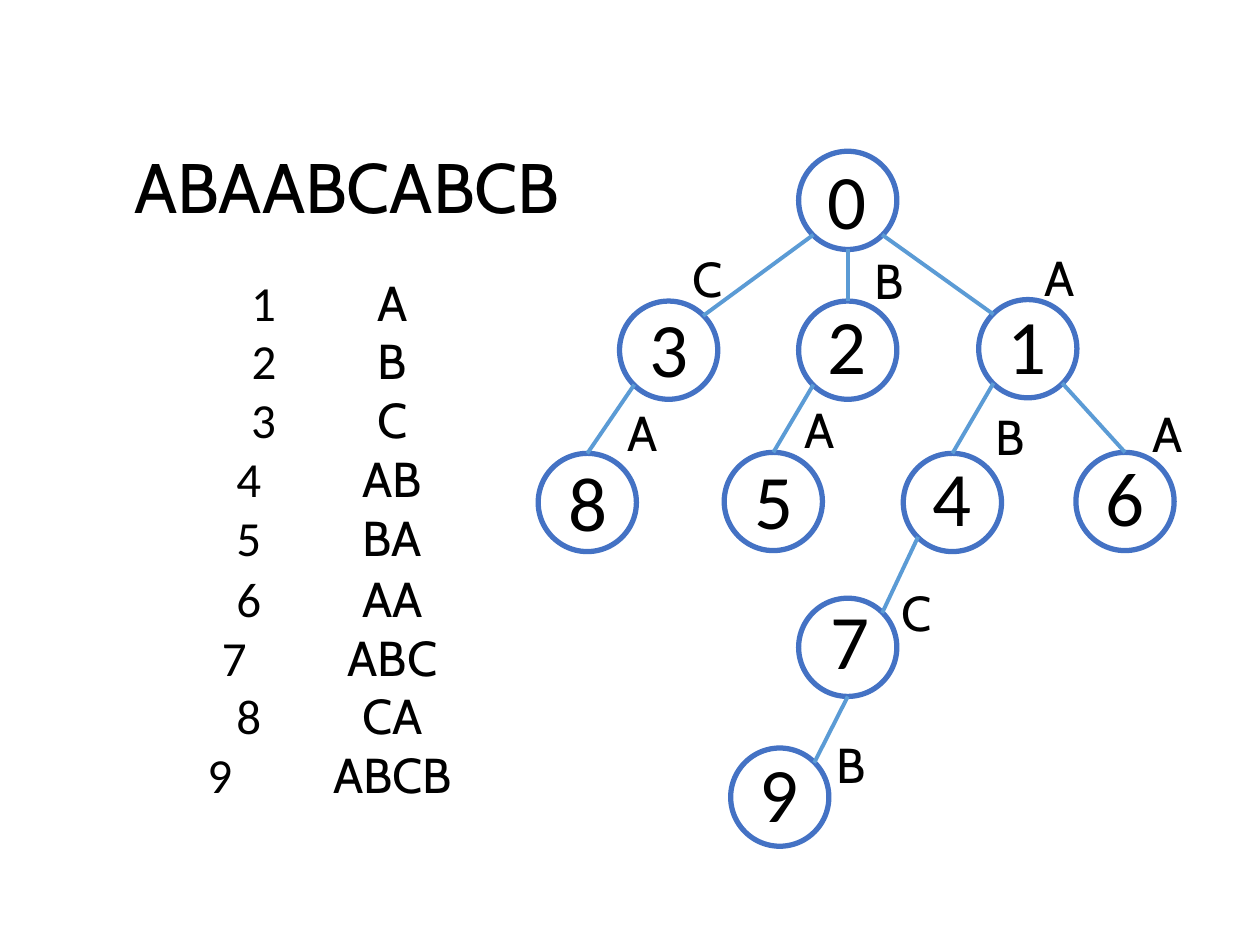
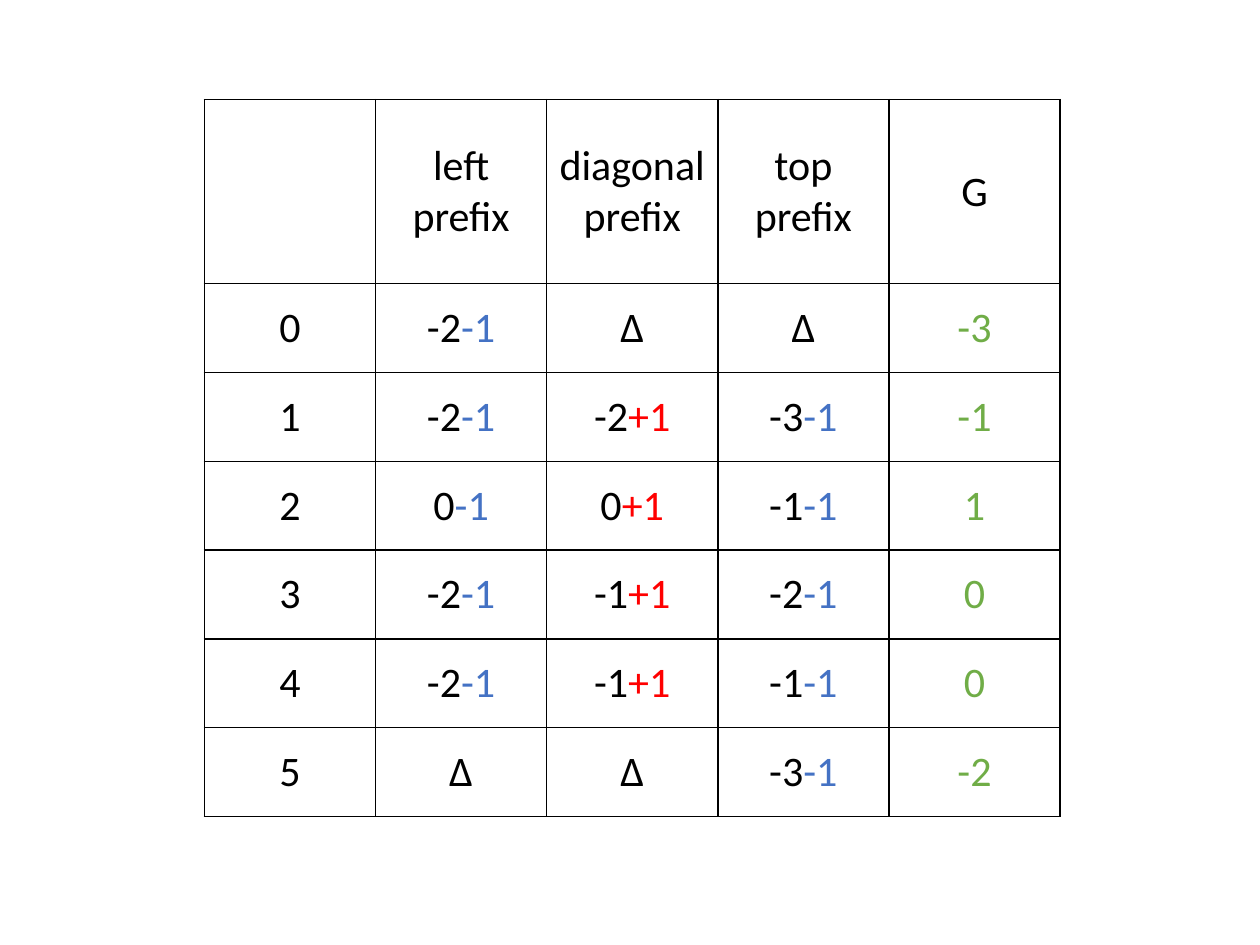
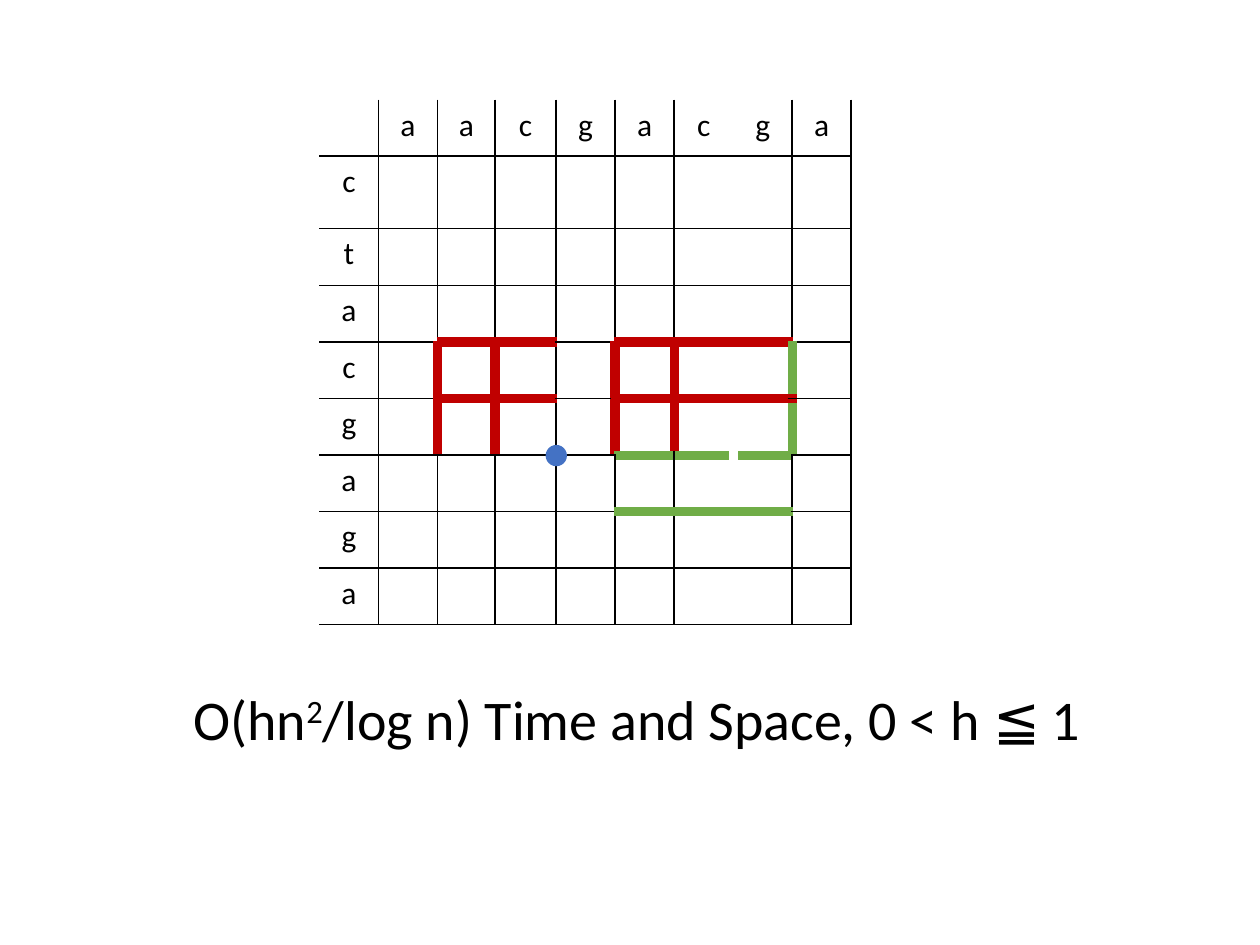
"""Build three slides: a phrase trie, a prefix table and an alignment grid."""
from lxml import etree
from pptx import Presentation
from pptx import util as u
from pptx.dml.color import RGBColor
from pptx.enum import shapes, text
from pptx.oxml.ns import qn

COLORS = {
    "black": "000000", "white": "FFFFFF", "blue": "4472C4", "edge": "5B9BD5",
    "green": "70AD47", "red": "FF0000", "dark red": "C00000",
}
NODE_SIZE = 1.98
SITES = {
    "top": (0.5, 0), "bottom": (0.5, 1), "top left": (0.15, 0.15),
    "top right": (0.85, 0.15), "bottom left": (0.15, 0.85), "bottom right": (0.85, 0.85),
}
NODES = {
    "0": (16.1, 3.05, 16.43, 2.95),
    "3": (12.49, 6.07, 12.83, 5.94),
    "8": (10.85, 9.14, 11.2, 9.04),
    "2": (16.1, 6.07, 16.43, 5.87),
    "5": (14.6, 9.12, 14.96, 8.99),
    "1": (19.73, 6.04, 20.06, 5.87),
    "4": (18.21, 9.14, 18.54, 8.94),
    "6": (21.69, 9.12, 22.02, 8.94),
    "7": (16.1, 12.06, 16.48, 11.82),
    "9": (14.73, 15.08, 15.06, 14.91),
}
EDGES = [
    ("0", "bottom", "2", "top", "B", 17.38, 4.93),
    ("0", "bottom left", "3", "top right", "C", 13.69, 4.88),
    ("0", "bottom right", "1", "top left", "A", 20.73, 4.87),
    ("3", "bottom left", "8", "top", "A", 12.32, 7.98),
    ("2", "bottom left", "5", "top", "A", 15.89, 7.92),
    ("1", "bottom left", "4", "top", "B", 19.81, 8.08),
    ("1", "bottom right", "6", "top", "A", 22.9, 8.0),
    ("4", "bottom left", "7", "top right", "C", 17.91, 11.62),
    ("7", "bottom", "9", "top right", "B", 16.62, 14.68),
]
LETTER_WIDTHS = {"A": 1.27, "B": 1.04, "C": 1.14}
PHRASES = ["A", "B", "C", "AB", "BA", "AA", "ABC", "CA", "ABCB"]
PREFIX_ROWS = [
    ["", "left prefix", "diagonal prefix", "top prefix", "G"],
    ["0", "-2|-1", "∆", "∆", "-3"],
    ["1", "-2|-1", "-2|+1", "-3|-1", "-1"],
    ["2", "0|-1", "0|+1", "-1|-1", "1"],
    ["3", "-2|-1", "-1|+1", "-2|-1", "0"],
    ["4", "-2|-1", "-1|+1", "-1|-1", "0"],
    ["5", "∆", "∆", "-3|-1", "-2"],
]
STEP_COLORS = {"-1": "blue", "+1": "red"}


class Deck:
    """Hold the shared style and the current slide."""

    def __init__(self):
        self.presentation = Presentation()
        self.presentation.slide_width = u.Cm(25.4)
        self.presentation.slide_height = u.Cm(19.05)
        self.slide = None

    def new_slide(self):
        """Start a blank slide."""
        self.slide = self.presentation.slides.add_slide(self.presentation.slide_layouts[6])

    def color(self, name):
        """Return a named colour."""
        return RGBColor.from_string(COLORS[name])

    def runs(self, paragraph, pieces, size):
        """Fill a centred paragraph with (words, font, colour) pieces."""
        paragraph.alignment = text.PP_ALIGN.CENTER
        paragraph._p.get_or_add_pPr().set("defTabSz", str(u.Cm(2.54)))
        for words, font, color in pieces:
            run = paragraph.add_run()
            run.text = words
            run.font.name = font
            run.font.size = u.Pt(size)
            run.font.color.rgb = self.color(color)

    def label(self, left, top, width, height, lines, size):
        """Add an unwrapped text box with one paragraph per line."""
        box = self.slide.shapes.add_textbox(u.Cm(left), u.Cm(top), u.Cm(width), u.Cm(height))
        frame = box.text_frame
        frame.word_wrap = False
        frame.auto_size = text.MSO_AUTO_SIZE.SHAPE_TO_FIT_TEXT
        for index, pieces in enumerate(lines):
            paragraph = frame.add_paragraph() if index else frame.paragraphs[0]
            self.runs(paragraph, pieces, size)
        return frame

    def circle(self, left, top, size, fill=None, line=None):
        """Add a filled or outlined circle."""
        shape = self.slide.shapes.add_shape(
            shapes.MSO_SHAPE.FLOWCHART_CONNECTOR, u.Cm(left), u.Cm(top), u.Cm(size), u.Cm(size))
        shape.shadow.inherit = False
        if fill:
            shape.fill.solid()
            shape.fill.fore_color.rgb = self.color(fill)
        else:
            shape.fill.background()
        if line:
            shape.line.color.rgb = self.color(line)
            shape.line.width = u.Pt(3)
        else:
            shape.line.fill.background()

    def edge(self, start, end):
        """Add a straight line between two points."""
        points = [u.Cm(value) for value in (*start, *end)]
        connector = self.slide.shapes.add_connector(shapes.MSO_CONNECTOR.STRAIGHT, *points)
        connector.line.color.rgb = self.color("edge")
        connector.line.width = u.Pt(2.25)
        etree.SubElement(connector._element.spPr, qn("a:effectLst"))

    def table(self, left, top, widths, heights):
        """Add a plain table without fills."""
        frame = self.slide.shapes.add_table(
            len(heights), len(widths), u.Cm(left), u.Cm(top),
            u.Cm(sum(widths)), u.Cm(sum(heights)))
        table = frame.table
        table.first_row = table.horz_banding = False
        for column, width in zip(table.columns, widths):
            column.width = u.Cm(width)
        for row, height in zip(table.rows, heights):
            row.height = u.Cm(height)
        for cell in table.iter_cells():
            cell.fill.background()
        return table

    def borders(self, cell, colors):
        """Set the left, right, top and bottom borders of a cell."""
        properties = cell._tc.get_or_add_tcPr()
        for index, (side, color) in enumerate(zip("LRTB", colors)):
            width = 1 if color in (None, "black") else 6
            line = etree.Element(qn("a:ln" + side), w=str(u.Pt(width)))
            if color:
                fill = etree.SubElement(line, qn("a:solidFill"))
                etree.SubElement(fill, qn("a:srgbClr"), val=COLORS[color])
            else:
                etree.SubElement(line, qn("a:noFill"))
            properties.insert(index, line)


def site_point(node, site):
    """Return the point of a connection site on a node."""
    return [start + NODE_SIZE * share for start, share in zip(NODES[node], SITES[site])]


def trie_slide(deck):
    """Show a string, its phrases and their trie."""
    deck.new_slide()
    deck.label(2.18, 2.77, 9.63, 1.96, [[("ABAABCABCB", "Cabin", "black")]], 40)
    lines = [[(str(number), "Calibri", "black"), ("\t" + phrase, "Cabin", "black")]
             for number, phrase in enumerate(PHRASES, 1)]
    deck.label(4.45, 5.36, 4.37, 6.25, lines[:5], 28)
    deck.label(3.89, 11.33, 5.51, 5.05, lines[5:], 28)
    for left, top, *_ in NODES.values():
        deck.circle(left, top, NODE_SIZE, line="blue")
    for parent, start, child, end, letter, left, top in EDGES:
        deck.edge(site_point(parent, start), site_point(child, end))
        deck.label(left, top, LETTER_WIDTHS[letter], 1.45, [[(letter, "Cabin", "black")]], 28)
    for number, (_, _, left, top) in NODES.items():
        deck.label(left, top, 1.3, 2.13, [[(number, "Calibri", "black")]], 44)


def prefix_slide(deck):
    """Show the table of prefix scores."""
    deck.new_slide()
    table = deck.table(4.12, 2.01, [3.45] * 8, [3.71] + [1.79] * 6)
    for row, values in enumerate(PREFIX_ROWS):
        for column, value in enumerate(values):
            cell = table.cell(row, column)
            cell.vertical_anchor = text.MSO_ANCHOR.MIDDLE
            cell.margin_left = cell.margin_right = u.Cm(0.23)
            deck.borders(cell, ["black"] * 4)
            base, *steps = value.split("|")
            base_color = "green" if row and column == 4 else "black"
            pieces = [(base, "Calibri", base_color)] if base else []
            pieces += [(step, "Calibri", STEP_COLORS[step]) for step in steps]
            deck.runs(cell.text_frame.paragraphs[0], pieces, 24)
        for column in range(len(values), len(table.columns)):
            left_color = "black" if column == len(values) else None
            deck.borders(table.cell(row, column), [left_color, None, None, None])


def vertical_color(boundary, row):
    """Return the colour of a vertical grid line beside a row."""
    if boundary == 0:
        return None
    if boundary == 7:
        return "white" if row == 6 else None
    if row in (4, 5) and boundary in (2, 3, 5, 6):
        return "dark red"
    return "green" if row in (4, 5) and boundary == 8 else "black"


def horizontal_color(boundary, column):
    """Return the colour of a horizontal grid line along a column."""
    if boundary == 0:
        return None
    if boundary in (4, 5) and column in (2, 3, 5, 6, 7):
        return "dark red"
    return "green" if boundary in (6, 7) and column in (5, 6, 7) else "black"


def grid_slide(deck):
    """Show the alignment grid and its complexity."""
    deck.new_slide()
    frame = deck.label(1.57, 13.67, 22.56, 1.63, [[
        ("O(hn", "Calibri", "black"), ("2", "Calibri", "black"),
        ("/log n) Time and Space, 0 < h ≦ 1", "Calibri", "black")]], 32)
    frame.paragraphs[0].runs[1]._r.get_or_add_rPr().set("baseline", "30000")
    widths = [1.19, 1.19, 1.16, 1.23] + [1.19] * 5
    table = deck.table(6.44, 2.01, widths, [1.14, 1.46, 1.15] + [1.14] * 6)
    for row, row_letter in enumerate(" ctacgaga"):
        for column, column_letter in enumerate(" aacgacga"):
            cell = table.cell(row, column)
            letter = (column_letter if row == 0 else row_letter if column == 0 else "").strip()
            pieces = [(letter, "Calibri", "black")] if letter else []
            deck.runs(cell.text_frame.paragraphs[0], pieces, 18)
            deck.borders(cell, [
                vertical_color(column, row), vertical_color(column + 1, row),
                horizontal_color(row, column), horizontal_color(row + 1, column)])
    deck.circle(11, 8.97, 0.43, fill="blue")


def main():
    """Build and save the slides."""
    deck = Deck()
    trie_slide(deck)
    prefix_slide(deck)
    grid_slide(deck)
    deck.presentation.save("out.pptx")


if __name__ == "__main__":
    main()
